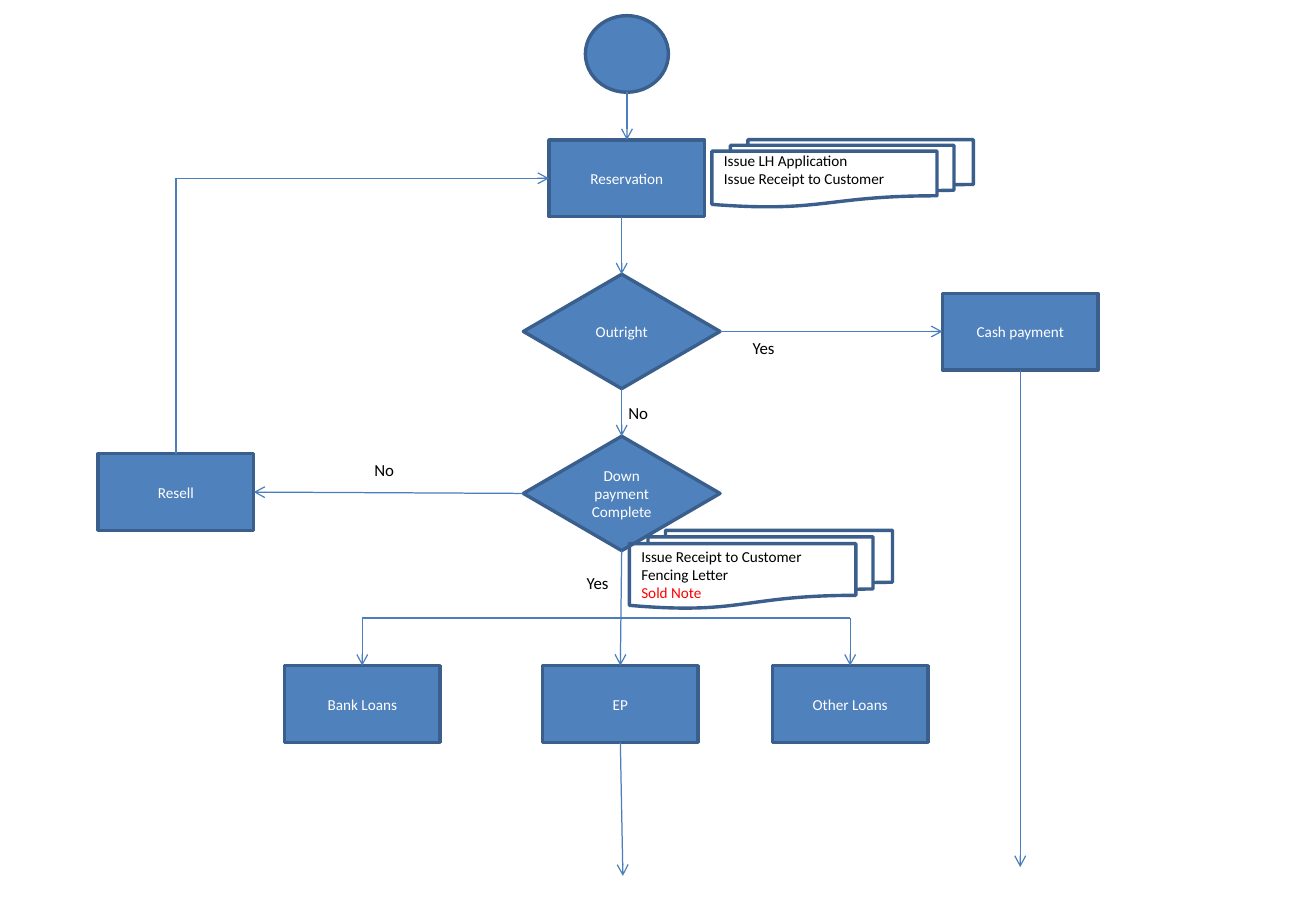
import dataclasses
import typing

import pptx
import pptx.dml.color
import pptx.enum.shapes
import pptx.enum.text
import pptx.oxml
import pptx.oxml.ns
import pptx.util

Pt = pptx.util.Pt
Color = pptx.dml.color.RGBColor
Kind = pptx.enum.shapes.MSO_SHAPE
Align = pptx.enum.text.PP_ALIGN
Anchor = pptx.enum.text.MSO_ANCHOR

BLUE = Color(0x4F, 0x81, 0xBD)
EDGE = Color(0x3A, 0x5F, 0x8C)
LINK = Color(0x4B, 0x7E, 0xBC)
WHITE = Color(0xFF, 0xFF, 0xFF)
BLACK = Color(0, 0, 0)
RED = Color(0xFF, 0, 0)

# Text formats
NODE_FONT = {"name": "Calibri", "size": Pt(9)}
TAG_FONT = {"name": "Calibri", "size": Pt(10)}
NODE_FRAME = {"word_wrap": True, "vertical_anchor": Anchor.MIDDLE}
TAG_FRAME = {"word_wrap": False,
             "auto_size": pptx.enum.text.MSO_AUTO_SIZE.SHAPE_TO_FIT_TEXT}


@dataclasses.dataclass
class Node:
    text: str
    left: float
    top: float
    wide: float = 92.2
    high: float = 45.4
    kind: Kind = Kind.RECTANGLE

    @property
    def mid(self) -> float:
        return self.left + self.wide / 2

    @property
    def level(self) -> float:
        return self.top + self.high / 2

    @property
    def right(self) -> float:
        return self.left + self.wide

    @property
    def base(self) -> float:
        return self.top + self.high


@dataclasses.dataclass
class Paper:
    node: Node
    inset: float
    lines: list[tuple[str, Color]]


class Tag(typing.NamedTuple):
    text: str
    left: float
    top: float
    wide: float


class Link(typing.NamedTuple):
    start: tuple[float, float]
    end: tuple[float, float]
    head: bool = True


def apply(item: typing.Any, form: dict[str, typing.Any]) -> None:
    for key, value in form.items():
        setattr(item, key, value)


def write(frame: typing.Any, lines: list[tuple[str, Color]],
          font: dict[str, typing.Any], align: Align) -> None:
    for i, (text, color) in enumerate(lines):
        para = frame.add_paragraph() if i else frame.paragraphs[0]
        para.alignment = align
        run = para.add_run()
        run.text = text
        apply(run.font, font)
        run.font.color.rgb = color


def add_shape(shapes: typing.Any, node: Node) -> typing.Any:
    shape = shapes.add_shape(node.kind, Pt(node.left), Pt(node.top),
                             Pt(node.wide), Pt(node.high))
    shape.shadow.inherit = False
    shape.line.color.rgb = EDGE
    shape.line.width = Pt(2)
    return shape


def draw_node(shapes: typing.Any, node: Node) -> None:
    shape = add_shape(shapes, node)
    shape.fill.solid()
    shape.fill.fore_color.rgb = BLUE
    if node.text:
        apply(shape.text_frame, NODE_FRAME)
        write(shape.text_frame, [(node.text, WHITE)], NODE_FONT, Align.CENTER)


def draw_paper(shapes: typing.Any, paper: Paper) -> None:
    shape = add_shape(shapes, paper.node)
    shape.fill.background()
    apply(shape.text_frame, {"word_wrap": True, "vertical_anchor": Anchor.TOP,
                             "margin_top": Pt(paper.inset), "margin_bottom": 0})
    write(shape.text_frame, paper.lines, NODE_FONT, Align.LEFT)


def draw_tag(shapes: typing.Any, tag: Tag) -> None:
    box = shapes.add_textbox(Pt(tag.left), Pt(tag.top), Pt(tag.wide), Pt(19.4))
    apply(box.text_frame, TAG_FRAME)
    write(box.text_frame, [(tag.text, BLACK)], TAG_FONT, Align.LEFT)


def draw_link(shapes: typing.Any, link: Link) -> None:
    ends = [Pt(value) for value in (*link.start, *link.end)]
    line = shapes.add_connector(pptx.enum.shapes.MSO_CONNECTOR.STRAIGHT, *ends)
    line.line.color.rgb = LINK
    line.line.width = Pt(0.75)
    space = pptx.oxml.ns.nsdecls("a")
    if link.head:
        tail = pptx.oxml.parse_xml(f'<a:tailEnd {space} type="arrow"/>')
        line.line._get_or_add_ln().append(tail)
    line._element.spPr.append(pptx.oxml.parse_xml(f"<a:effectLst {space}/>"))


# Flow steps
start = Node("", 347, 9.3, 49.2, 45.4, Kind.OVAL)
reserve = Node("Reservation", 325.4, 83)
outright = Node("Outright", 310.2, 162.6, 116.6, 67.8, Kind.DIAMOND)
cash = Node("Cash payment", 558.6, 174)
down = Node("Down payment Complete", 310.2, 258.6, 116.6, 67.8, Kind.DIAMOND)
resell = Node("Resell", 58.2, 269)
bank, plan, other = [Node(text, left, 394.6) for text, left in
                     (("Bank Loans", 168.6), ("EP", 321.6), ("Other Loans", 457.8))]
nodes = [start, reserve, outright, cash, down, resell, bank, plan, other]

# Issued papers
MULTI = Kind.FLOWCHART_MULTIDOCUMENT
papers = [
    Paper(Node("", 422, 82.8, 155, 39.9, MULTI), 0,
          [("Issue LH Application", BLACK), ("Issue Receipt to Customer", BLACK)]),
    Paper(Node("", 373, 314.4, 156, 46.2, MULTI), 2,
          [("Issue Receipt to Customer", BLACK), ("Fencing Letter", BLACK),
           ("Sold Note", RED)]),
]

# Branch names
tags = [Tag("Yes", 439, 196.8, 28.4), Tag("No", 365.4, 235, 26.6),
        Tag("No", 214.8, 269, 26.6), Tag("Yes", 340.6, 335.8, 28.4)]

# Arrows and lines
RAIL = 366.4
links = [
    Link((start.mid, start.base), (start.mid, reserve.top)),
    Link((outright.mid, reserve.base), (outright.mid, outright.top)),
    Link((outright.right, outright.level), (cash.left, outright.level)),
    Link((outright.mid, outright.base), (down.mid, down.top)),
    Link((down.left, down.level), (resell.right, resell.level)),
    Link((down.mid, down.base), (plan.mid, plan.top)),
    Link((bank.mid, RAIL), (other.mid, RAIL), False),
    Link((bank.mid, RAIL), (bank.mid, bank.top)),
    Link((other.mid, RAIL), (other.mid, other.top)),
    Link((plan.mid, plan.base), (369.2, 519.2)),
    Link((resell.mid, resell.top), (resell.mid, reserve.level), False),
    Link((resell.mid, reserve.level), (reserve.left, reserve.level)),
    Link((cash.mid, cash.base), (cash.mid, 514)),
]

deck = pptx.Presentation()
apply(deck, {"slide_width": Pt(780), "slide_height": Pt(540)})
shapes = deck.slides.add_slide(deck.slide_layouts[6]).shapes
for draw, items in ((draw_node, nodes), (draw_link, links),
                    (draw_tag, tags), (draw_paper, papers)):
    for item in items:
        draw(shapes, item)
deck.save("out.pptx")
